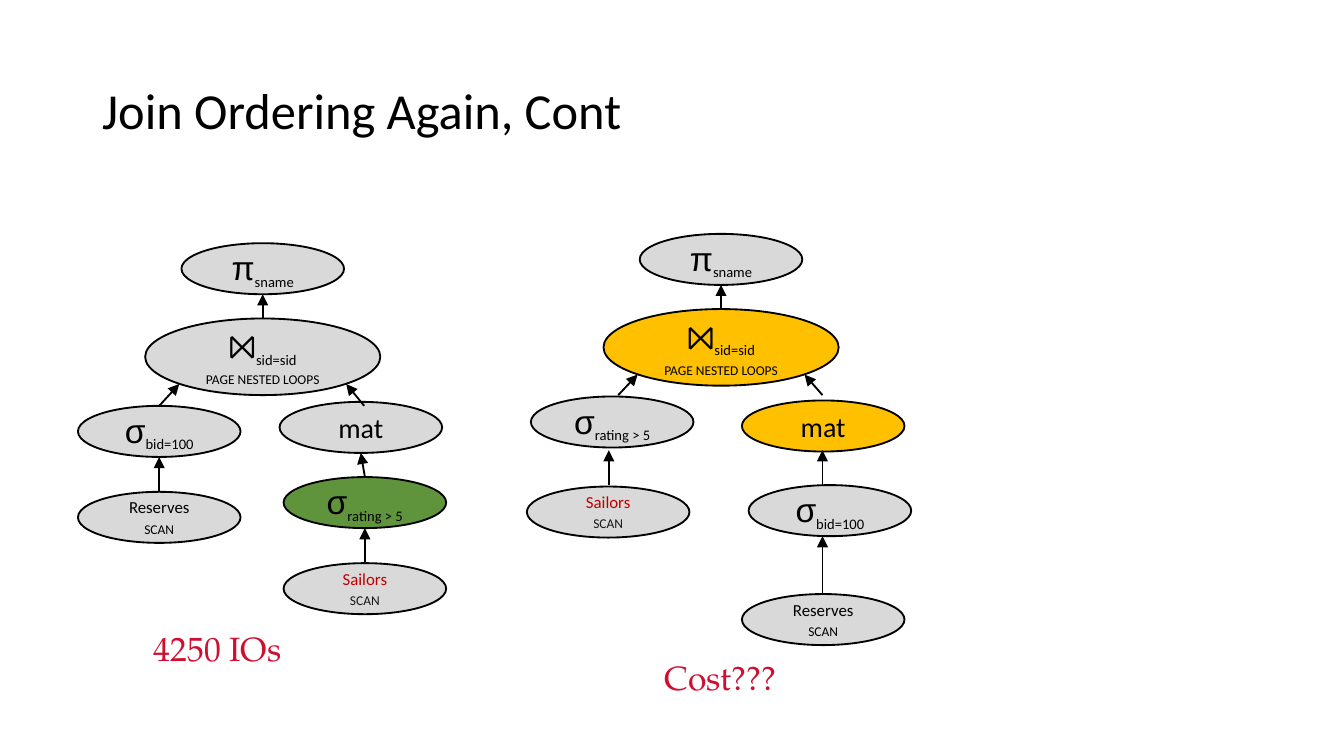
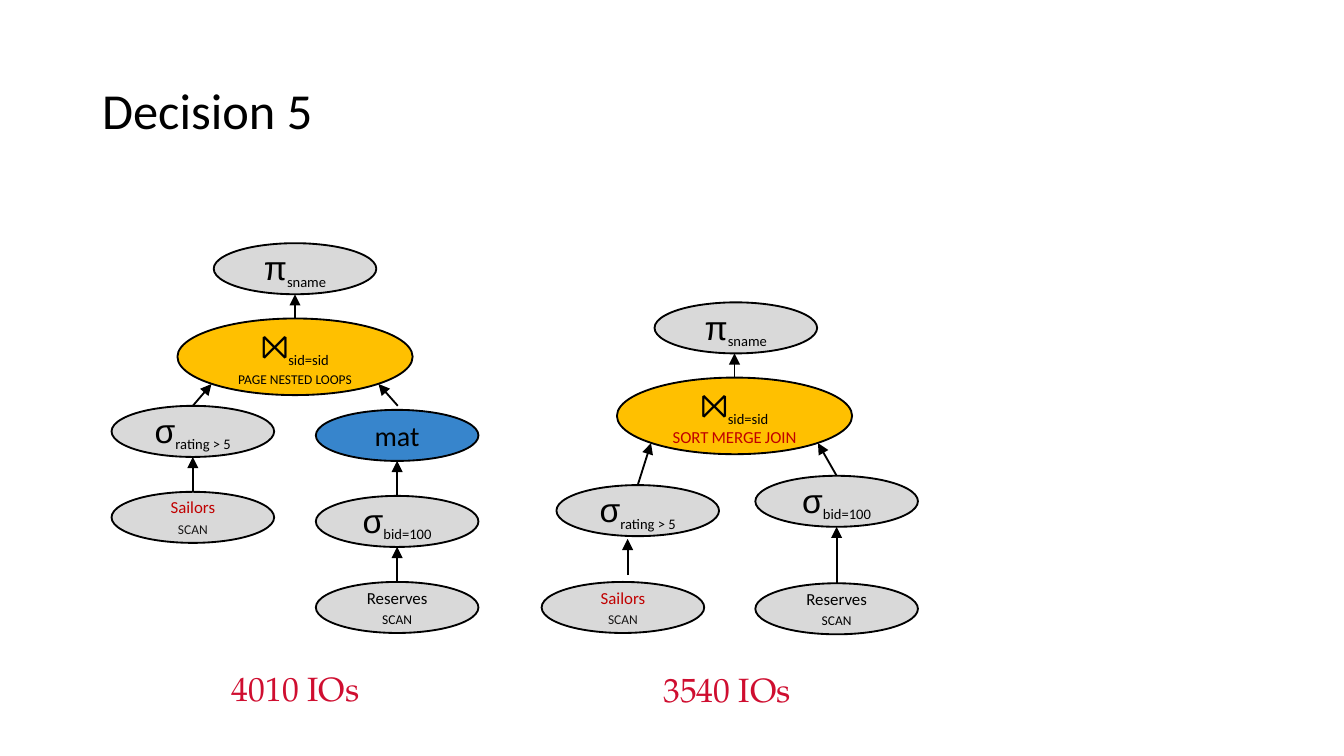
from pptx import Presentation
from pptx.dml.color import RGBColor
from pptx.enum.shapes import MSO_CONNECTOR, MSO_SHAPE
from pptx.enum.text import MSO_ANCHOR, PP_ALIGN
from pptx.oxml.ns import qn
from pptx.util import Inches, Pt
from lxml import etree

OVAL = MSO_SHAPE.OVAL
STRAIGHT = MSO_CONNECTOR.STRAIGHT
MIDDLE = MSO_ANCHOR.MIDDLE
CENTER = PP_ALIGN.CENTER
LEFT = PP_ALIGN.LEFT

BLACK = RGBColor(0x00, 0x00, 0x00)
SOFT_BLACK = RGBColor(0x18, 0x17, 0x17)
GRAY = RGBColor(0xD9, 0xD9, 0xD9)
GOLD = RGBColor(0xFF, 0xC0, 0x00)
GREEN = RGBColor(0x5F, 0x93, 0x3C)
BLUE = RGBColor(0x37, 0x85, 0xCC)
RED = RGBColor(0xC0, 0x00, 0x00)
COST_RED = RGBColor(0xCF, 0x0E, 0x30)

SANS = "Calibri"
SYMBOL = "Arial"
SERIF = "TeX Gyre Pagella"

NODE_WIDTH, NODE_HEIGHT = 1.21, 0.38
JOIN_WIDTH, JOIN_HEIGHT = 1.75, 0.57
DIAGONAL = 0.71  # share of the radius at 45 degrees on an ellipse

# Span: text, size, font, colour, extra run attributes
SUBSCRIPT = {"baseline": "-25000"}
SMALL_CAPS = {"cap": "small"}
BREAK = "\n"


def operator(symbol, subscript):
    return [(symbol, 18, SYMBOL, BLACK, {}), (subscript, 13.5, SANS, BLACK, SUBSCRIPT)]


PROJECT = operator("π", "sname")
BID = operator("σ", "bid=100")
RATING = operator("σ", "rating > 5")
JOIN = operator("⨝", "sid=sid")
NESTED_LOOPS = JOIN + [BREAK, ("page nested loops", 9, SANS, BLACK, SMALL_CAPS)]
SORT_MERGE = JOIN + [BREAK, ("SORT MERGE JOIN", 9, SANS, RED, SMALL_CAPS)]
MAT = [("mat", 15, SANS, BLACK, {})]
RESERVES = [("Reserves", 9, SANS, BLACK, {}), None, ("scan", 9, SANS, BLACK, SMALL_CAPS)]
SAILORS = [("Sailors", 9, SANS, RED, {}), None, ("scan", 9, SANS, SOFT_BLACK, SMALL_CAPS)]

# Each branch runs from the join down; a node is label, left, top, fill,
# then the start and end of its arrow where they differ from the rule.
SLIDES = [
    ("Join Ordering Again, Cont", [
        {"project": (1.35, 1.81), "join": (NESTED_LOOPS, 1.08, 2.37, GRAY),
         "branches": [
             [(BID, 0.58, 3.02, GRAY), (RESERVES, 0.58, 3.66, GRAY)],
             [(MAT, 2.08, 2.99, GRAY, (2.71, 3.02)), (RATING, 2.11, 3.55, GREEN),
              (SAILORS, 2.11, 4.19, GRAY)]],
         "cost": ("4250 IOs", 0.84, 4.63)},
        {"project": (4.76, 1.74), "join": (NESTED_LOOPS, 4.49, 2.3, GOLD),
         "branches": [
             [(RATING, 3.95, 2.95, GRAY, (4.6, 2.94)),
              (SAILORS, 3.92, 3.62, GRAY, (4.53, 3.61), (4.53, 3.35))],
             [(MAT, 5.52, 2.98, GOLD, (6.12, 2.94)),
              (BID, 5.57, 3.61, GRAY, (6.12, 3.61), (6.12, 3.35)),
              (RESERVES, 5.52, 4.42, GRAY, (6.12, 4.42), (6.12, 3.99))]],
         "cost": ("Cost???", 4.58, 4.85)},
    ]),
    ("Decision 5", [
        {"project": (1.59, 1.81), "join": (NESTED_LOOPS, 1.32, 2.37, GOLD),
         "branches": [
             [(RATING, 0.83, 3.02, GRAY), (SAILORS, 0.83, 3.66, GRAY)],
             [(MAT, 2.35, 3.05, BLUE, (2.96, 3.02)), (BID, 2.35, 3.69, GRAY),
              (RESERVES, 2.35, 4.33, GRAY)]],
         "cost": ("4010 IOs", 1.42, 4.93)},
        {"project": (4.87, 2.25), "join": (SORT_MERGE, 4.59, 2.81, GOLD),
         "branches": [
             [(RATING, 4.14, 3.61, GRAY),
              (SAILORS, 4.03, 4.33, GRAY, (4.67, 4.28), (4.67, 4.01))],
             [(BID, 5.62, 3.54, GRAY), (RESERVES, 5.62, 4.34, GRAY)]],
         "cost": ("3540 IOs", 4.63, 4.94)},
    ]),
]


def fill_frame(frame, label):
    """Write spans centred; None starts a paragraph, BREAK a line."""
    frame.vertical_anchor = MIDDLE
    para = frame.paragraphs[0]
    para.alignment = CENTER
    for part in label:
        if part is None:
            para = frame.add_paragraph()
            para.alignment = CENTER
        elif part == BREAK:
            para.add_line_break()
        else:
            text, size, font, color, extras = part
            span = para.add_run()
            span.text = text
            span.font.size = Pt(size)
            span.font.name = font
            span.font.color.rgb = color
            for name, value in extras.items():
                span.font._element.set(name, value)


deck = Presentation()
deck.slide_width = Inches(10)
deck.slide_height = Inches(10) * 9 // 16

for title_text, trees in SLIDES:
    page = deck.slides.add_slide(deck.slide_layouts[5])
    title = page.shapes.title
    title.left, title.top = Inches(0.69), Inches(0.3)
    title.width, title.height = Inches(8.62), Inches(1.09)
    frame = title.text_frame
    frame.text = title_text
    frame.vertical_anchor = MIDDLE
    frame.margin_left = frame.margin_right = Inches(0.07)
    frame.margin_top = frame.margin_bottom = Inches(0.04)
    para = frame.paragraphs[0]
    para.alignment = LEFT
    para.line_spacing = 0.9
    para.runs[0].font.size = Pt(27)
    para.runs[0].font.name = SANS
    para.runs[0].font.color.rgb = BLACK

    for tree in trees:
        project_left, project_top = tree["project"]
        join_left, join_top = tree["join"][1:3]
        join_x = join_left + JOIN_WIDTH / 2
        join_y = join_top + JOIN_HEIGHT / 2
        join_end = (join_x, project_top + NODE_HEIGHT)

        # Node, its size, and the end of its arrow
        nodes = [((PROJECT, project_left, project_top, GRAY), NODE_WIDTH, NODE_HEIGHT, None),
                 (tree["join"], JOIN_WIDTH, JOIN_HEIGHT, join_end)]
        for side, branch in zip((-1, 1), tree["branches"]):
            end = (join_x + side * DIAGONAL * JOIN_WIDTH / 2,
                   join_y + DIAGONAL * JOIN_HEIGHT / 2)
            for node in branch:
                nodes.append((node, NODE_WIDTH, NODE_HEIGHT, end))
                end = (node[1] + NODE_WIDTH / 2, node[2] + NODE_HEIGHT)

        for (label, left, top, fill, *ends), width, height, end in nodes:
            oval = page.shapes.add_shape(
                OVAL, Inches(left), Inches(top), Inches(width), Inches(height))
            oval.shadow.inherit = False
            oval.fill.solid()
            oval.fill.fore_color.rgb = fill
            oval.line.color.rgb = BLACK
            oval.line.width = Pt(1)
            frame = oval.text_frame
            frame.margin_left = frame.margin_right = Inches(0.07)
            frame.margin_top = frame.margin_bottom = Inches(0.04)
            fill_frame(frame, label)
            if end is None:
                continue

            start = ends[0] if ends else (left + width / 2, top)
            end = ends[1] if len(ends) > 1 else end
            arrow = page.shapes.add_connector(
                STRAIGHT, *(Inches(value) for value in (*start, *end)))
            if not ends:
                arrow.begin_connect(oval, 0)
            arrow.line.color.rgb = BLACK
            arrow.line.width = Pt(1)
            etree.SubElement(arrow.line._get_or_add_ln(), qn("a:tailEnd"), type="triangle")
            etree.SubElement(arrow._element.spPr, qn("a:effectLst"))

        cost, left, top = tree["cost"]
        box = page.shapes.add_textbox(
            Inches(left), Inches(top), Inches(1.56), Inches(0.38))
        box.text_frame.word_wrap = False
        fill_frame(box.text_frame, [(cost, 18, SERIF, COST_RED, {})])

deck.save("out.pptx")
